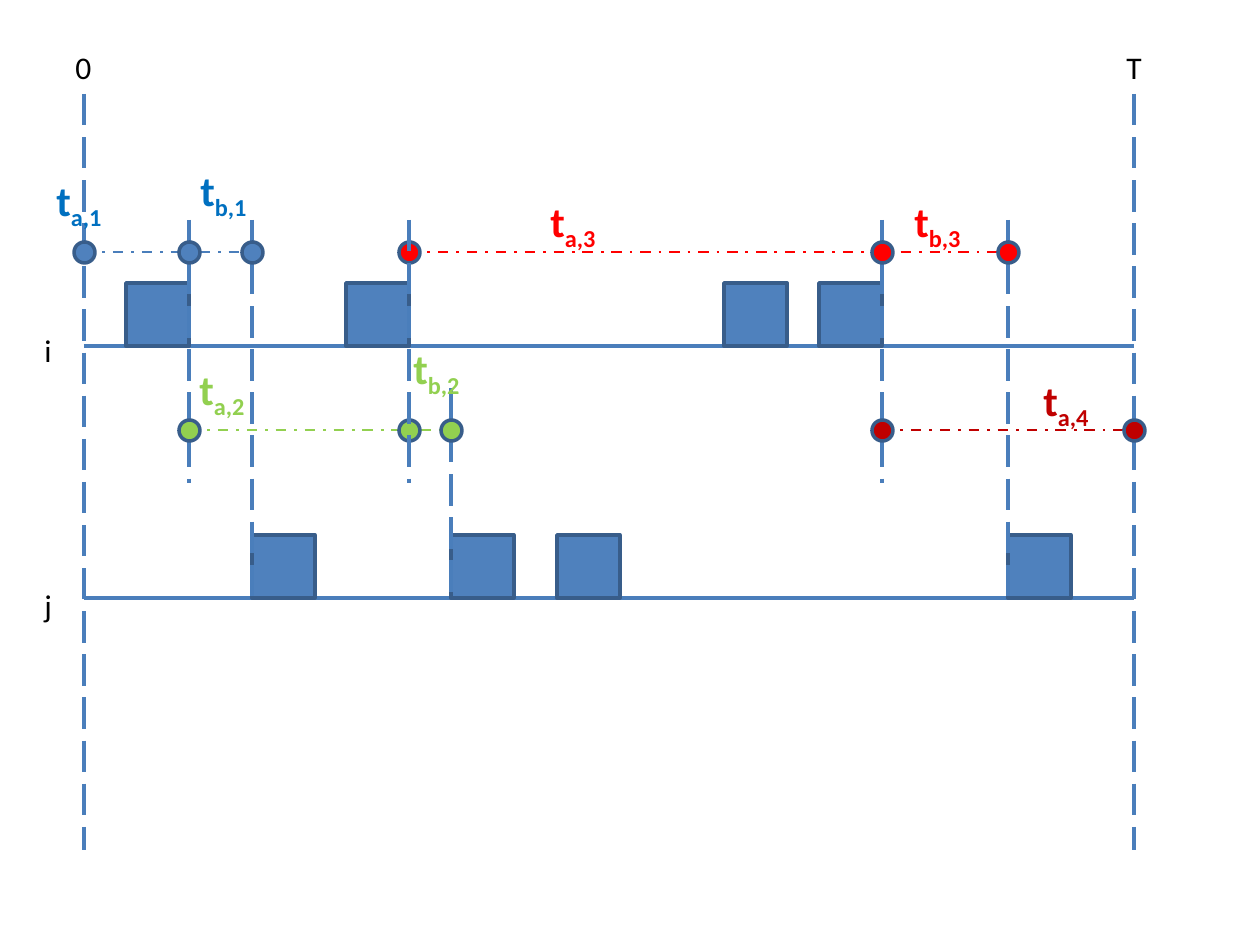
from lxml import etree
from pptx import Presentation
from pptx.dml.color import RGBColor
from pptx.enum.dml import MSO_LINE
from pptx.enum.shapes import MSO_CONNECTOR, MSO_SHAPE
from pptx.enum.text import MSO_AUTO_SIZE
from pptx.oxml.ns import qn
from pptx.util import Emu, Inches, Pt

PX = Inches(1) // 126

BLACK = RGBColor(0x00, 0x00, 0x00)
LINE_BLUE = RGBColor(0x4A, 0x7E, 0xBB)
FILL_BLUE = RGBColor(0x4F, 0x81, 0xBD)
EDGE_BLUE = RGBColor(0x38, 0x5D, 0x8A)
TEXT_BLUE = RGBColor(0x00, 0x70, 0xC0)
RED = RGBColor(0xFF, 0x00, 0x00)
GREEN = RGBColor(0x92, 0xD0, 0x50)
DARK_RED = RGBColor(0xC0, 0x00, 0x00)

# Moments in time (x) and the rows they are drawn on (y)
START, END = 84, 1134
I1, I2, I3 = 189, 409, 882
J1, J2, J3 = 252, 451, 1008
AXIS_I, AXIS_J = 346, 598
UPPER, LOWER = 252, 430
GUIDE_TOP, GUIDE_BOTTOM = 220, 483
EVENT, DOT = 63, 21

EVENTS = [
    (AXIS_I, (126, I2 - EVENT, 724, I3 - EVENT)),
    (AXIS_J, (J1, J2, 557, J3)),
]
GUIDES = [
    (I1, GUIDE_TOP, GUIDE_BOTTOM),
    (I3, GUIDE_TOP, GUIDE_BOTTOM),
    (J1, GUIDE_TOP, AXIS_J),
    (J3, GUIDE_TOP, AXIS_J),
    (START, 94, 850),
    (END, 94, 850),
    (J2, 388, AXIS_J),
]
# Row, line colour, dot colour, moments joined
INTERVALS = [
    (UPPER, RED, RED, (I2, I3, J3)),
    (LOWER, GREEN, GREEN, (I1, I2, J2)),
    (LOWER, DARK_RED, DARK_RED, (I3, END)),
    (UPPER, LINE_BLUE, FILL_BLUE, (START, I1, J1)),
]
AXIS_LABELS = [
    ("i", 32, 325, 33),
    ("j", 32, 580, 33),
    ("0", 63, 42, 40),
    ("T", 1114, 42, 40),
]
INTERVAL_LABELS = [
    ("a,1", 44, 168, TEXT_BLUE),
    ("b,1", 188, 158, TEXT_BLUE),
    ("a,2", 187, 357, GREEN),
    ("b,2", 401, 336, GREEN),
    ("a,3", 538, 189, RED),
    ("b,3", 902, 189, RED),
    ("a,4", 1031, 368, DARK_RED),
]


def px(*values):
    return [Emu(v * PX) for v in values]


def add_line(s, x1, y1, x2, y2, color=LINE_BLUE, width=2.25, dash=None):
    line = s.shapes.add_connector(MSO_CONNECTOR.STRAIGHT, *px(x1, y1, x2, y2))
    line.line.color.rgb = color
    line.line.width = Pt(width)
    if dash is not None:
        line.line.dash_style = dash
    etree.SubElement(line._element.spPr, qn("a:effectLst"))


def add_guide(s, x, top, bottom):
    add_line(s, x, top, x, bottom, dash=MSO_LINE.LONG_DASH)


def add_marker(s, kind, x, y, size, fill):
    sp = s.shapes.add_shape(kind, *px(x, y, size, size))
    sp.shadow.inherit = False
    sp.fill.solid()
    sp.fill.fore_color.rgb = fill
    sp.line.color.rgb = EDGE_BLUE
    sp.line.width = Pt(2)


def add_label(s, text, x, y, w, h, size=18, color=BLACK, subscript=None):
    tf = s.shapes.add_textbox(*px(x, y, w, h)).text_frame
    tf.word_wrap = False
    tf.auto_size = MSO_AUTO_SIZE.SHAPE_TO_FIT_TEXT
    p = tf.paragraphs[0]
    p.font.name = "Calibri"
    p.font.size = Pt(size)
    p.font.color.rgb = color
    p.font.bold = subscript is not None
    p.add_run().text = text
    if subscript:
        r = p.add_run()
        r.text = subscript
        r._r.get_or_add_rPr().set("baseline", "-25000")


def main():
    prs = Presentation()
    prs.slide_width, prs.slide_height = Inches(10), Inches(7.5)
    s = prs.slides.add_slide(prs.slide_layouts[6])

    # Time axes and their events
    for y, _ in EVENTS:
        add_line(s, START, y, END, y)
    for y, xs in EVENTS:
        for x in xs:
            add_marker(s, MSO_SHAPE.RECTANGLE, x, y - EVENT, EVENT, FILL_BLUE)

    # Vertical guides
    for guide in GUIDES:
        add_guide(s, *guide)

    # Interval lines
    for y, color, _, xs in INTERVALS:
        add_line(s, xs[0], y, xs[-1], y, color, 1.5, MSO_LINE.DASH_DOT)

    # Labels
    for text, x, y, w in AXIS_LABELS:
        add_label(s, text, x, y, w, 50)
    for subscript, x, y, color in INTERVAL_LABELS:
        add_label(s, "t", x, y, 74, 71, 24, color, subscript)

    # Interval end points
    for y, _, color, xs in INTERVALS:
        for x in xs:
            add_marker(s, MSO_SHAPE.OVAL, x - DOT // 2, y - DOT // 2, DOT, color)

    # This guide runs in front of its dots
    add_guide(s, I2, GUIDE_TOP, GUIDE_BOTTOM)

    prs.save("out.pptx")


if __name__ == "__main__":
    main()
